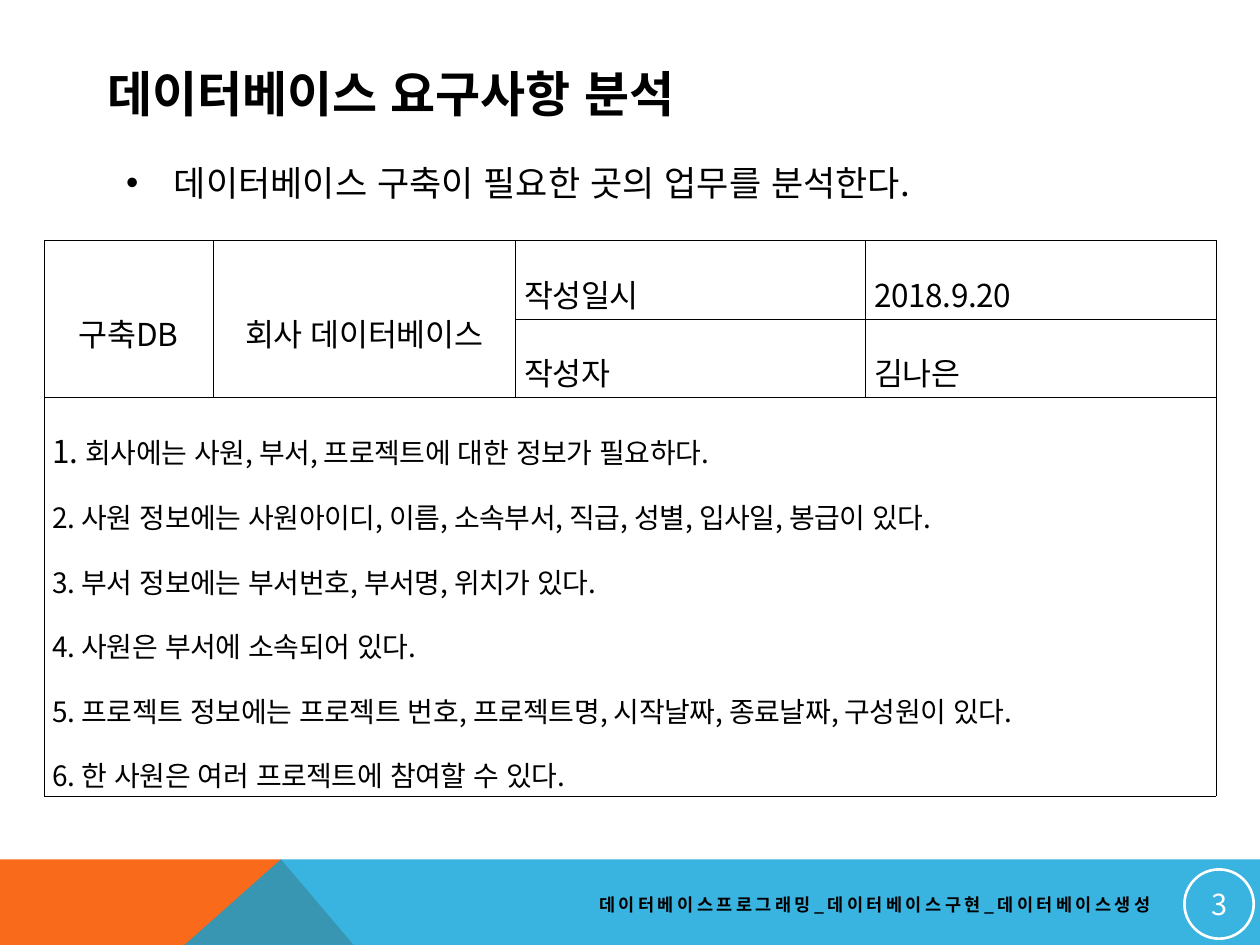
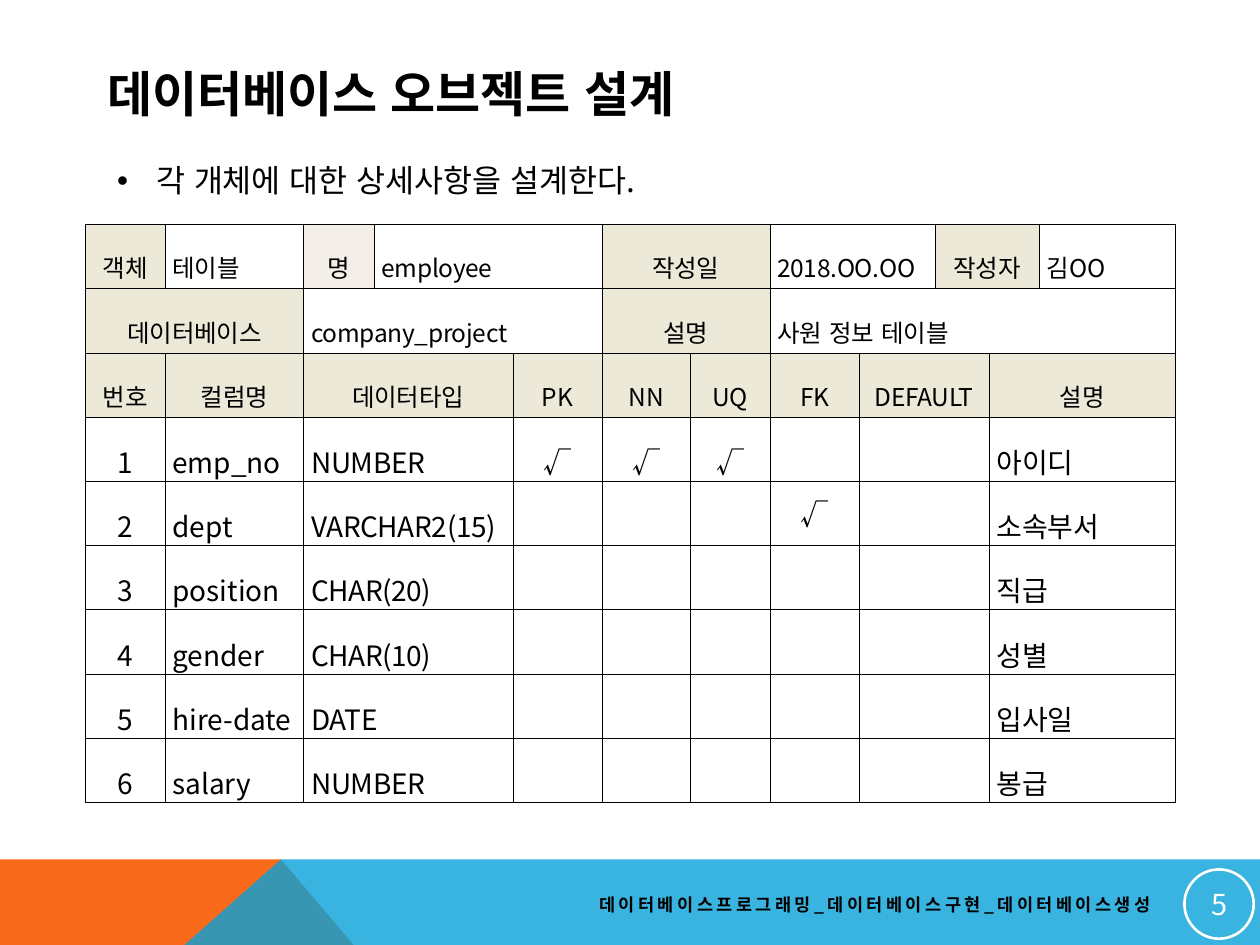
"""Builds two slides on database requirements analysis and object design."""
from lxml import etree
from pptx import Presentation
from pptx.dml.color import RGBColor
from pptx.enum.lang import MSO_LANGUAGE_ID
from pptx.enum.shapes import MSO_SHAPE
from pptx.enum.text import MSO_ANCHOR, MSO_AUTO_SIZE, PP_ALIGN
from pptx.oxml.ns import qn
from pptx.util import Inches, Pt

FONT = "Noto Sans CJK KR"
BLACK = RGBColor(0x00, 0x00, 0x00)
WHITE = RGBColor(0xFF, 0xFF, 0xFF)
ORANGE = RGBColor(0xF9, 0x6A, 0x1B)
BLUE = RGBColor(0x08, 0xA1, 0xD9)
BEIGE = RGBColor(0xED, 0xE9, 0xD9)
PALE = RGBColor(0xF3, 0xEF, 0xE8)
LEFT, CENTER, RIGHT, JUSTIFY = PP_ALIGN.LEFT, PP_ALIGN.CENTER, PP_ALIGN.RIGHT, PP_ALIGN.JUSTIFY
FOOTER = "데이터베이스프로그래밍_데이터베이스구현_데이터베이스생성"


def write(paragraph, text, size, align=LEFT, color=BLACK, bold=False, spacing=0):
    paragraph.alignment = align
    run = paragraph.add_run()
    run.text = text
    run.font.size = Pt(size)
    run.font.bold = bold
    run.font.color.rgb = color
    run.font.name = FONT
    run.font.language_id = MSO_LANGUAGE_ID.KOREAN
    properties = run.font._element
    etree.SubElement(properties, qn("a:ea")).set("typeface", FONT)
    properties.set("spc", str(round(spacing * 100)))


def prepare_cell(cell, side, top, fill=None):
    cell.vertical_anchor = MSO_ANCHOR.MIDDLE
    cell.margin_left = cell.margin_right = Inches(side)
    cell.margin_top = cell.margin_bottom = Inches(top)
    properties = cell._tc.get_or_add_tcPr()
    for edge in ("a:lnL", "a:lnR", "a:lnT", "a:lnB"):
        line = etree.SubElement(properties, qn(edge), w=str(Pt(0.28)))
        solid = etree.SubElement(line, qn("a:solidFill"))
        etree.SubElement(solid, qn("a:srgbClr"), val=str(BLACK))
    if fill is None:
        cell.fill.background()
    else:
        cell.fill.solid()
        cell.fill.fore_color.rgb = fill


prs = Presentation()
prs.slide_width, prs.slide_height = Inches(10), Inches(7.5)
layout = prs.slide_layouts[1]

pages = [
    ("데이터베이스 요구사항 분석", "데이터베이스 구축이 필요한 곳의 업무를 분석한다.",
     "3", (0.9, 1.23, 8.22, 0.47), 20, 0.38, 8),
    ("데이터베이스 오브젝트 설계", "각 개체에 대한 상세사항을 설계한다.",
     "5", (0.83, 1.23, 4.72, 0.4), 18, 0.31, 0),
]
slides = []
for title_text, body_text, number, body_box, body_size, indent, space in pages:
    slide = prs.slides.add_slide(layout)
    slides.append(slide)

    title = slide.shapes.title
    title.left, title.top, title.width, title.height = map(Inches, (0.75, 0.44, 8.22, 0.6))
    title.text_frame.auto_size = MSO_AUTO_SIZE.NONE
    title.text_frame.vertical_anchor = MSO_ANCHOR.MIDDLE
    write(title.text_frame.paragraphs[0], title_text, 28, bold=True)

    body = slide.placeholders[1]
    body.left, body.top, body.width, body.height = map(Inches, body_box)
    body.text_frame.auto_size = MSO_AUTO_SIZE.NONE
    paragraph = body.text_frame.paragraphs[0]
    write(paragraph, body_text, body_size)
    paragraph.space_before = Pt(space)
    properties = paragraph._p.get_or_add_pPr()
    properties.set("marL", str(Inches(indent)))
    properties.set("indent", str(-Inches(indent)))
    etree.SubElement(properties, qn("a:buChar"), char="•")

    badge = slide.shapes.add_shape(
        MSO_SHAPE.OVAL, Inches(9.4), Inches(6.9), Inches(0.55), Inches(0.55))
    badge.shadow.inherit = False
    badge.fill.background()
    badge.line.color.rgb = WHITE
    badge.line.width = Pt(1.5)
    frame = badge.text_frame
    frame.margin_left = frame.margin_right = Inches(0.01)
    frame.margin_top = frame.margin_bottom = Inches(0.01)
    frame.vertical_anchor = MSO_ANCHOR.MIDDLE
    write(frame.paragraphs[0], number, 16.5, CENTER, WHITE)

    footer = slide.shapes.add_textbox(Inches(4.06), Inches(7.03), Inches(5.17), Inches(0.3))
    footer.text_frame.word_wrap = True
    footer.text_frame.vertical_anchor = MSO_ANCHOR.MIDDLE
    write(footer.text_frame.paragraphs[0], FOOTER, 10, RIGHT, bold=True, spacing=2)

bands = [
    (ORANGE, 100, [(0, 8.8), (0, 6.82), (2.23, 6.82), (3.91, 8.8)]),
    (BLUE, 80, [(0, 8.8), (2.23, 6.82), (10, 6.82), (10, 8.8)]),
]
for position, (color, opacity, points) in enumerate(bands):
    corners = [(Inches(x), Inches(y)) for x, y in points]
    builder = slides[0].shapes.build_freeform(*corners[0])
    builder.add_line_segments(corners[1:], close=True)
    band = builder.convert_to_shape()
    band.shadow.inherit = False
    band.line.fill.background()
    band.fill.solid()
    band.fill.fore_color.rgb = color
    shade = band.element.spPr.find(".//" + qn("a:srgbClr"))
    etree.SubElement(shade, qn("a:alpha"), val=str(opacity * 1000))
    band.element.nvSpPr.cNvPr.set("id", str(20 + position))
    layout.shapes.element.insert(2 + position, band.element)

requirements = [
    "회사에는 사원, 부서, 프로젝트에 대한 정보가 필요하다.",
    "사원 정보에는 사원아이디, 이름, 소속부서, 직급, 성별, 입사일, 봉급이 있다.",
    "부서 정보에는 부서번호, 부서명, 위치가 있다.",
    "사원은 부서에 소속되어 있다.",
    "프로젝트 정보에는 프로젝트 번호, 프로젝트명, 시작날짜, 종료날짜, 구성원이 있다.",
    "한 사원은 여러 프로젝트에 참여할 수 있다.",
]
analysis = slides[0].shapes.add_table(
    3, 4, Inches(0.35), Inches(1.91), Inches(9.3), Inches(4.41)).table
analysis.first_row = analysis.horz_banding = False
for column, width in zip(analysis.columns, (1.34, 2.4, 2.78, 2.78)):
    column.width = Inches(width)
for row, height in zip(analysis.rows, (0.62, 0.62, 3.17)):
    row.height = Inches(height)
for cell in analysis.iter_cells():
    prepare_cell(cell, 0.07, 0.02)
for column in (0, 1):
    analysis.cell(0, column).merge(analysis.cell(1, column))
analysis.cell(2, 0).merge(analysis.cell(2, 3))
for row, column, text, align in [
    (0, 0, "구축DB", CENTER), (0, 1, "회사 데이터베이스", CENTER),
    (0, 2, "작성일시", JUSTIFY), (0, 3, "2018.9.20", JUSTIFY),
    (1, 2, "작성자", JUSTIFY), (1, 3, "김나은", JUSTIFY),
]:
    paragraph = analysis.cell(row, column).text_frame.paragraphs[0]
    paragraph.line_spacing = 1.6
    write(paragraph, text, 18, align, spacing=-0.2)
frame = analysis.cell(2, 0).text_frame
for number, text in enumerate(requirements, 1):
    paragraph = frame.paragraphs[0] if number == 1 else frame.add_paragraph()
    paragraph.line_spacing = 1.6
    write(paragraph, f"{number}. ", 18 if number == 1 else 16, JUSTIFY, spacing=-0.2)
    write(paragraph, text, 16, JUSTIFY, spacing=-0.2)

headings = [
    [("객체", 1, BEIGE), ("테이블", 1, WHITE), ("명", 1, PALE), ("employee", 2, None),
     ("작성일", 2, BEIGE), ("2018.OO.OO", 2, None), ("작성자", 2, BEIGE), ("김OO", 1, None)],
    [("데이터베이스", 2, BEIGE), ("company_project", 3, None),
     ("설명", 2, BEIGE), ("사원 정보 테이블", 5, None)],
    [("번호", 1, BEIGE), ("컬럼명", 1, BEIGE), ("데이터타입", 2, BEIGE), ("PK", 1, BEIGE),
     ("NN", 1, BEIGE), ("UQ", 1, BEIGE), ("FK", 1, BEIGE), ("DEFAULT", 2, BEIGE),
     ("설명", 2, BEIGE)],
]
fields = [
    ("emp_no", "NUMBER", ("PK", "NN", "UQ"), "아이디"),
    ("dept", "VARCHAR2(15)", ("FK",), "소속부서"),
    ("position", "CHAR(20)", (), "직급"),
    ("gender", "CHAR(10)", (), "성별"),
    ("hire-date", "DATE", (), "입사일"),
    ("salary", "NUMBER", (), "봉급"),
]
design = slides[1].shapes.add_table(
    9, 12, Inches(0.68), Inches(1.78), Inches(8.65), Inches(4.59)).table
design.first_row = design.horz_banding = False
widths = (0.63, 1.1, 0.56, 1.1, 0.71, 0.7, 0.63, 0.71, 0.6, 0.43, 0.4, 1.08)
for column, width in zip(design.columns, widths):
    column.width = Inches(width)
for row in design.rows:
    row.height = Inches(0.51)

for row, heading in enumerate(headings):
    column = 0
    for text, span, fill in heading:
        for offset in range(span):
            prepare_cell(design.cell(row, column + offset), 0.06, 0, fill)
        cell = design.cell(row, column)
        if span > 1:
            cell.merge(design.cell(row, column + span - 1))
        paragraph = cell.text_frame.paragraphs[0]
        paragraph.line_spacing = 1.6
        spacing = 0 if text in ("객체", "명", "사원 정보 테이블") else -0.2
        write(paragraph, text, 14, CENTER if fill in (BEIGE, PALE) else LEFT, spacing=spacing)
        column += span

for number, (name, data_type, keys, description) in enumerate(fields, 1):
    row = number + 2
    for column in range(12):
        prepare_cell(design.cell(row, column), 0.06, 0)
    for column in (2, 8, 10):
        design.cell(row, column).merge(design.cell(row, column + 1))
    entries = [(0, str(number), CENTER, -0.2), (1, name, JUSTIFY, 0),
               (2, data_type, JUSTIFY, -0.2), (10, description, JUSTIFY, 0)]
    for column, key in enumerate(("PK", "NN", "UQ", "FK"), 4):
        if key in keys:
            entries.append((column, "√", CENTER, -0.2))
    for column, text, align, spacing in entries:
        paragraph = design.cell(row, column).text_frame.paragraphs[0]
        paragraph.line_spacing = 1.0 if column == 7 else 1.6
        write(paragraph, text, 16, align, spacing=spacing)

prs.save("out.pptx")
